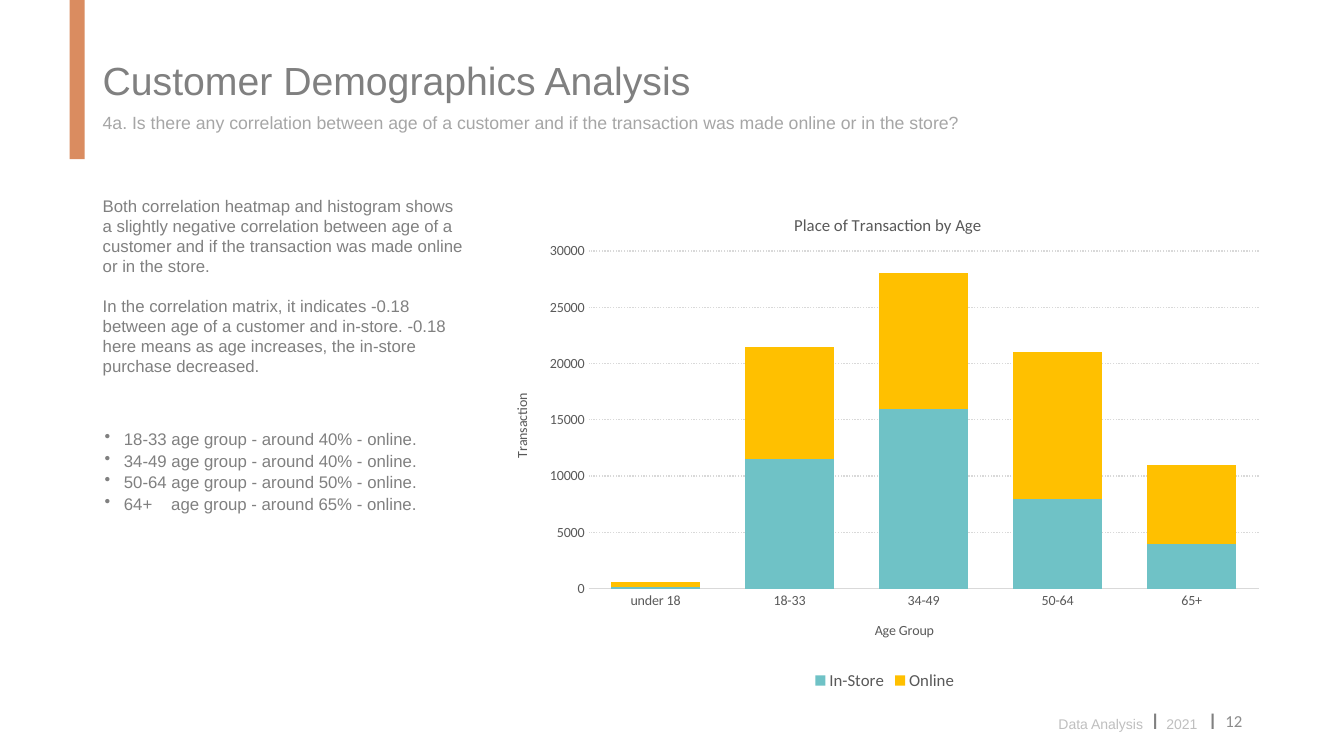
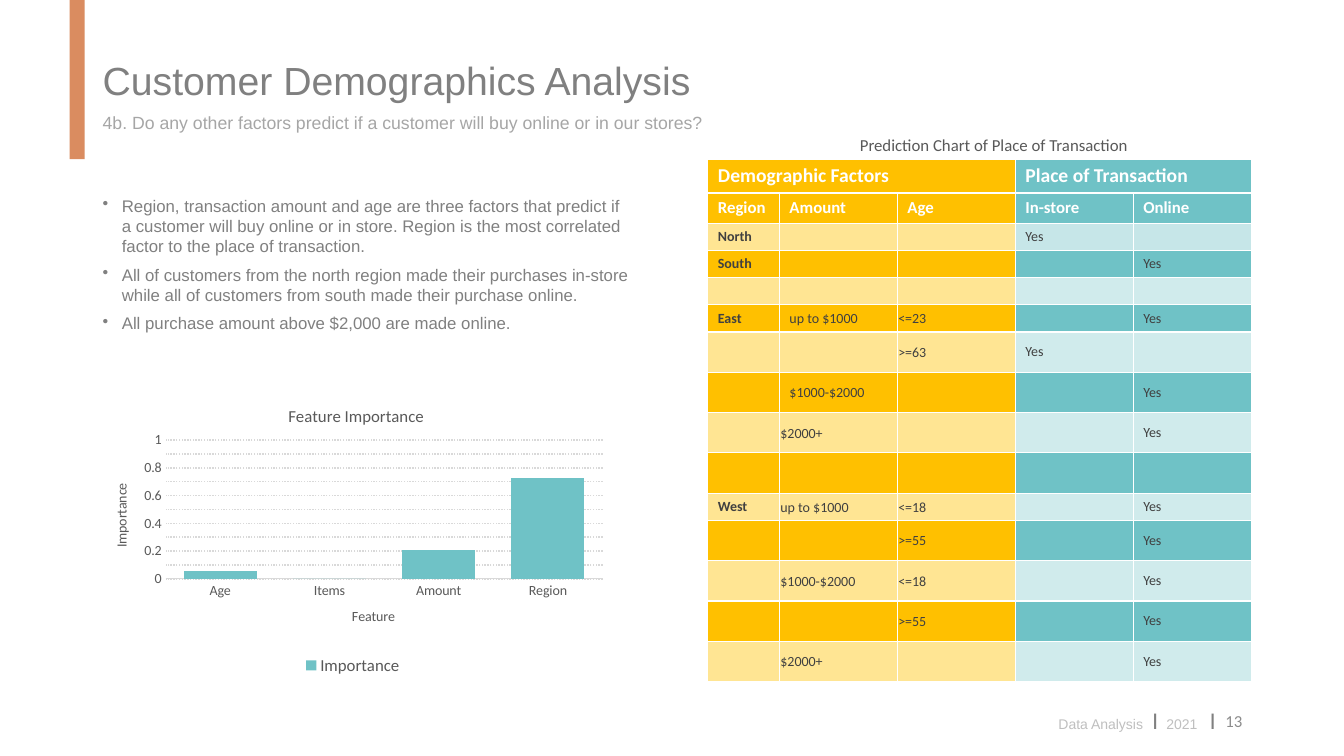
"""Build two slides on customer demographics and place of transaction."""
from lxml import etree
from pptx import Presentation
from pptx.chart import data as chart_data
from pptx.dml.color import RGBColor
from pptx.enum import chart as chart_enum, dml, shapes, text
from pptx.oxml.ns import qn
from pptx.util import Inches, Pt

ORANGE = RGBColor(0xDA, 0x8C, 0x60)
TEAL = RGBColor(0x6F, 0xC2, 0xC6)
TEAL_LIGHT = RGBColor(0xD0, 0xEB, 0xEC)
TEAL_SOFT = RGBColor(0xC6, 0xE6, 0xE8)
AMBER = RGBColor(0xFF, 0xC0, 0x00)
AMBER_LIGHT = RGBColor(0xFF, 0xE5, 0x93)
WHITE = RGBColor(0xFF, 0xFF, 0xFF)
INK = RGBColor(0x40, 0x40, 0x40)
CHART_INK = RGBColor(0x59, 0x59, 0x59)
GREY = RGBColor(0x80, 0x80, 0x80)
NUMBER_GREY = RGBColor(0x8C, 0x8C, 0x8C)
SUBTITLE_GREY = RGBColor(0xA6, 0xA6, 0xA6)
FOOTER_GREY = RGBColor(0xBF, 0xBF, 0xBF)
GRID_GREY = RGBColor(0xD9, 0xD9, 0xD9)

FACTORS = [
    ("North", "", "", "Yes", ""),
    ("South", "", "", "", "Yes"),
    ("", "", "", "", ""),
    ("East", "up to $1000", "<=23", "", "Yes"),
    ("", "", ">=63", "Yes", ""),
    ("", "$1000-$2000", "", "", "Yes"),
    ("", "$2000+", "", "", "Yes"),
    ("", "", "", "", ""),
    ("West", "up to $1000", "<=18", "", "Yes"),
    ("", "", ">=55", "", "Yes"),
    ("", "$1000-$2000", "<=18", "", "Yes"),
    ("", "", ">=55", "", "Yes"),
    ("", "$2000+", "", "", "Yes"),
]
LOW_ROWS = (0, 1, 2, 3, 8)
FIRST_TIGHT_AMOUNT = 6


def style(font, size, color, name="Arial", bold=False):
    """Set the look of a font."""
    font.size, font.name, font.bold = Pt(size), name, bold
    font.color.rgb = color


def add_tabs(para, *stops):
    """Add left tab stops, in inches."""
    tabs = etree.SubElement(para._p.get_or_add_pPr(), qn("a:tabLst"))
    for stop in stops:
        etree.SubElement(tabs, qn("a:tab"), pos=str(Inches(stop)), algn="l")


def add_bullet(para):
    """Give a paragraph a hanging bullet."""
    props = para._p.get_or_add_pPr()
    props.set("marL", str(Inches(0.19)))
    props.set("indent", str(-Inches(0.19)))
    etree.SubElement(props, qn("a:buChar"), char="•")


def add_box(page, left, top, width, height):
    """Add an empty wrapping text box and return its frame."""
    box = page.shapes.add_textbox(Inches(left), Inches(top), Inches(width), Inches(height))
    box.text_frame.word_wrap = True
    return box.text_frame


def add_text(page, place, lines, size, color, name="Arial", bullets=False,
             after=0, spacing=1.0, align=None, middle=False):
    """Add a text box with one paragraph per line."""
    frame = add_box(page, *place)
    if middle:
        frame.vertical_anchor = text.MSO_ANCHOR.MIDDLE
    for index, line in enumerate(lines):
        para = frame.add_paragraph() if index else frame.paragraphs[0]
        para.text = line
        para.alignment = align
        para.space_after, para.line_spacing = Pt(after), spacing
        if bullets:
            add_bullet(para)
        if "\t" in line:
            add_tabs(para, 0.66)
        style(para.font, size, color, name)


def add_footer(page, number):
    """Add the footer line and the page number."""
    para = add_box(page, 10.4, 6.97, 1.9, 0.37).paragraphs[0]
    add_tabs(para, 0.93, 1.07, 1.5)
    for words, size, color in (("Data Analysis\t", 10, FOOTER_GREY), ("I", 16, GREY),
                               ("\t2021\t", 10, FOOTER_GREY), ("I", 16, GREY)):
        span = para.add_run()
        span.text = words
        style(span.font, size, color)
    add_text(page, (9.42, 6.95, 3, 0.4), [str(number)], 12, NUMBER_GREY, "Calibri",
             align=text.PP_ALIGN.RIGHT, middle=True)


def add_page(deck, number, question):
    """Add a slide with the shared band, title, question and footer."""
    page = deck.slides.add_slide(deck.slide_layouts[6])
    band = page.shapes.add_shape(shapes.MSO_SHAPE.RECTANGLE, Inches(0.69), 0,
                                 Inches(0.15), Inches(1.58))
    band.shadow.inherit = False
    band.fill.solid()
    band.fill.fore_color.rgb = ORANGE
    band.line.fill.background()
    add_text(page, (0.92, 0.51, 11.5, 0.57), ["Customer Demographics Analysis"], 28, GREY)
    add_text(page, (0.92, 1.08, 11.5, 0.3), [question], 12.6, SUBTITLE_GREY,
             spacing=0.9, middle=True)
    add_footer(page, number)
    return page


def set_layout(parent, index, target=None, **fractions):
    """Place a chart part by fractions of the chart area."""
    layout = parent.find(qn("c:layout"))
    if layout is None:
        layout = etree.Element(qn("c:layout"))
        parent.insert(index, layout)
    manual = etree.SubElement(layout, qn("c:manualLayout"))
    if target:
        etree.SubElement(manual, qn("c:layoutTarget"), val=target)
    for mode in ("xMode", "yMode"):
        etree.SubElement(manual, qn("c:" + mode), val="edge")
    for key, value in fractions.items():
        etree.SubElement(manual, qn("c:" + key), val=str(value))


def set_title(title, words, size):
    """Write a chart or axis title."""
    title.text_frame.text = words
    style(title.text_frame.paragraphs[0].font, size, CHART_INK, "Calibri")


def add_columns(page, place, title, title_at, plot_at, axis_titles, top, step,
                categories, series):
    """Add a stacked column chart; series holds name, values and colour."""
    data = chart_data.CategoryChartData()
    data.categories = categories
    for name, values, _ in series:
        data.add_series(name, values)
    chart = page.shapes.add_chart(chart_enum.XL_CHART_TYPE.COLUMN_STACKED,
                                  *map(Inches, place), data).chart
    style(chart.font, 10, CHART_INK, "Calibri")
    set_title(chart.chart_title, title, 12)
    set_layout(chart.chart_title._element, 1, x=title_at[0], y=title_at[1])
    set_layout(chart._chartSpace.chart.plotArea, 0, "inner", **dict(zip("xywh", plot_at)))

    chart.has_legend = True
    chart.legend.position = chart_enum.XL_LEGEND_POSITION.BOTTOM
    chart.legend.include_in_layout = False
    style(chart.legend.font, 12, CHART_INK, "Calibri")

    plot = chart.plots[0]
    plot.gap_width, plot.overlap, plot.vary_by_categories = 50, 100, False
    for columns, (_, _, color) in zip(plot.series, series):
        columns.format.fill.solid()
        columns.format.fill.fore_color.rgb = color

    for axis, words in zip((chart.category_axis, chart.value_axis), axis_titles):
        set_title(axis.axis_title, words, 10)
        axis.major_tick_mark = chart_enum.XL_TICK_MARK.NONE
        style(axis.tick_labels.font, 10, CHART_INK, "Calibri")
    chart.category_axis.format.line.color.rgb = GRID_GREY
    chart.category_axis.format.line.width = Pt(0.75)

    scale = chart.value_axis
    scale.minimum_scale, scale.maximum_scale, scale.major_unit = 0, top, step
    scale.format.line.fill.background()
    grid = scale.major_gridlines.format.line
    grid.color.rgb, grid.width = GRID_GREY, Pt(1)
    grid.dash_style = dml.MSO_LINE.ROUND_DOT


def fill_cell(cell, words, fill, size, color, bold=False):
    """Fill a table cell and write its words."""
    cell.fill.solid()
    cell.fill.fore_color.rgb = fill
    para = cell.text_frame.paragraphs[0]
    para.text = words
    style(para.font, size, color, "Calibri", bold)
    if not words:
        etree.SubElement(para._p, qn("a:endParaRPr"), sz=str(size * 100))


def add_factor_table(page):
    """Add the table of factors and predicted places."""
    heights = [0.33, 0.3] + [0.27 if row in LOW_ROWS else 0.4 for row in range(len(FACTORS))]
    widths = [0.71] + [1.17] * 4
    table = page.shapes.add_table(len(heights), len(widths), Inches(7.02), Inches(1.58),
                                  Inches(sum(widths)), Inches(sum(heights))).table
    table.horz_banding = False
    for column, width in zip(table.columns, widths):
        column.width = Inches(width)
    for row, height in zip(table.rows, heights):
        row.height = Inches(height)

    for first, last, words, fill in ((0, 2, "Demographic Factors", AMBER),
                                     (3, 4, "Place of Transaction", TEAL)):
        table.cell(0, first).merge(table.cell(0, last))
        fill_cell(table.cell(0, first), words, fill, 14, WHITE, True)
    for column, words in enumerate(("Region", "Amount", "Age", "In-store", "Online")):
        fill_cell(table.cell(1, column), words, AMBER if column < 3 else TEAL, 12, WHITE, True)

    for index, row in enumerate(FACTORS):
        place_light = TEAL_LIGHT if index else TEAL_SOFT
        factor_fill, place_fill = (AMBER, TEAL) if index % 2 else (AMBER_LIGHT, place_light)
        for column, words in enumerate(row):
            cell = table.cell(index + 2, column)
            fill_cell(cell, words, factor_fill if column < 3 else place_fill, 10, INK,
                      column == 0)
            if column:
                cell.vertical_anchor = text.MSO_ANCHOR.MIDDLE
            tight = column == 2 or (column == 1 and index >= FIRST_TIGHT_AMOUNT)
            if tight and words:
                cell.margin_left = cell.margin_right = cell.margin_top = Inches(0.01)
                cell.margin_bottom = 0


def add_age_slide(deck):
    """Add the slide on age and place of transaction."""
    page = add_page(deck, 12, "4a. Is there any correlation between age of a customer and "
                              "if the transaction was made online or in the store?")
    add_text(page, (0.92, 1.89, 3.79, 2.12), [
        "Both correlation heatmap and histogram shows a slightly negative correlation between "
        "age of a customer and if the transaction was made online or in the store.",
        "In the correlation matrix, it indicates -0.18 between age of a customer and in-store. "
        "-0.18 here means as age increases, the in-store purchase decreased.",
    ], 12, GREY, after=14)
    add_text(page, (0.94, 4.19, 3.79, 1.28), [
        "18-33 age group - around 40% - online.",
        "34-49 age group - around 40% - online.",
        "50-64 age group - around 50% - online.",
        "64+\tage group - around 65% - online.",
    ], 12, GREY, bullets=True, spacing=1.07)
    add_columns(page, (4.91, 1.89, 7.73, 5), "Place of Transaction by Age", (0.38, 0.04),
                (0.12, 0.12, 0.86, 0.67), ("Age Group", "Transaction"), 30000, 5000,
                ("under 18", "18-33", "34-49", "50-64", "65+"),
                [("In-Store", (100, 11500, 16000, 8000, 4000), TEAL),
                 ("Online", (500, 10000, 12000, 13000, 7000), AMBER)])


def add_factor_slide(deck):
    """Add the slide on the other factors."""
    page = add_page(deck, 13, "4b. Do any other factors predict if a customer will buy "
                              "online or in our stores?")
    add_text(page, (0.92, 1.89, 5.46, 2.17), [
        "Region, transaction amount and age are three factors that predict if a customer will "
        "buy online or in store. Region is the most correlated factor to the place of "
        "transaction.",
        "All of customers from the north region made their purchases in-store while all of "
        "customers from south made their purchase online.",
        "All purchase amount above $2,000 are made online.",
    ], 12, GREY, bullets=True, after=6)
    add_columns(page, (0.92, 3.81, 5.16, 2.93), "Feature Importance", (0.37, 0.06),
                (0.14, 0.19, 0.84, 0.47), ("Feature", "Importance"), 1, 0.1,
                ("Age", "Items", "Amount", "Region"),
                [("Importance", (0.06, 0, 0.21, 0.73), TEAL)])
    add_factor_table(page)
    add_text(page, (8.43, 1.29, 2.89, 0.3), ["Prediction Chart of Place of Transaction"],
             12, CHART_INK, "Calibri")


def main():
    """Build and save the deck."""
    deck = Presentation()
    deck.slide_width, deck.slide_height = Inches(13.33), Inches(7.5)
    add_age_slide(deck)
    add_factor_slide(deck)
    deck.save("out.pptx")


if __name__ == "__main__":
    main()
